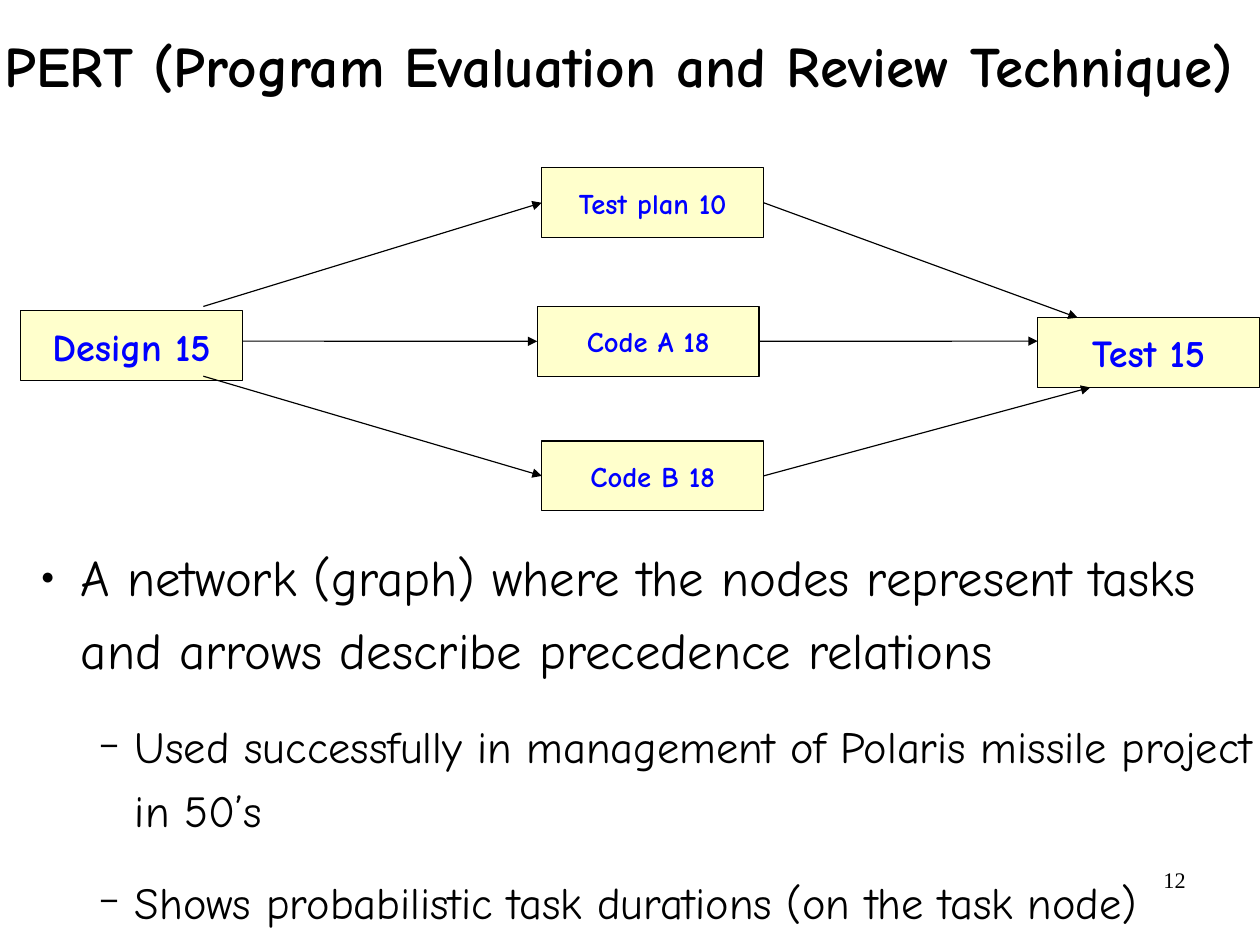
from lxml import etree
from pptx import Presentation
from pptx.dml.color import RGBColor
from pptx.enum.shapes import MSO_CONNECTOR, MSO_SHAPE
from pptx.enum.text import MSO_ANCHOR, PP_ALIGN
from pptx.oxml.ns import qn
from pptx.util import Cm, Pt

BLACK = RGBColor(0, 0, 0)
BLUE = RGBColor(0, 0, 255)
CREAM = RGBColor(255, 255, 204)
RECT = MSO_SHAPE.RECTANGLE
STRAIGHT = MSO_CONNECTOR.STRAIGHT
MIDDLE = MSO_ANCHOR.MIDDLE
CENTER, RIGHT = PP_ALIGN.CENTER, PP_ALIGN.RIGHT
FONT = "Comic Neue"
LEFT_SIDE, RIGHT_SIDE = 1, 3


def set_font(p, size, color=BLACK, name=FONT, bold=False):
    p.font.size, p.font.name, p.font.bold = Pt(size), name, bold
    p.font.color.rgb = color


def clear_insets(tf):
    tf.margin_left = tf.margin_right = tf.margin_top = tf.margin_bottom = 0


prs = Presentation()
prs.slide_width, prs.slide_height = Cm(28), Cm(21)
s = prs.slides.add_slide(prs.slide_layouts[5])

# Title
title = s.shapes.title
title.left, title.top, title.width, title.height = 0, 0, Cm(27.5), Cm(3.05)
tf = title.text_frame
clear_insets(tf)
tf.word_wrap = False
tf.vertical_anchor = MIDDLE
tf.text = "PERT (Program Evaluation and Review Technique)"
p = tf.paragraphs[0]
p.alignment = CENTER
p.line_spacing = 0.92
set_font(p, 36, bold=True)

# Task nodes: label, left, top, text size
TASKS = [
    ("Design 15", 0.46, 6.91, 24),
    ("Test plan 10", 12.04, 3.73, 18),
    ("Code A 18", 11.94, 6.81, 18),
    ("Code B 18", 12.04, 9.8, 18),
    ("Test 15", 23.06, 7.06, 24),
]
nodes = {}
for label, left, top, size in TASKS:
    sp = s.shapes.add_shape(RECT, Cm(left), Cm(top), Cm(4.93), Cm(1.55))
    sp.shadow.inherit = False
    sp.fill.solid()
    sp.fill.fore_color.rgb = CREAM
    sp.line.color.rgb = BLACK
    sp.line.width = Pt(0.75)
    tf = sp.text_frame
    clear_insets(tf)
    tf.vertical_anchor = MIDDLE
    tf.text = label
    p = tf.paragraphs[0]
    p.alignment = CENTER
    set_font(p, size, BLUE, bold=True)
    nodes[label] = sp

# Precedence arrows through each middle task: start at Design, end at Test
PATHS = [
    ("Test plan 10", (4.52, 6.81), (23.95, 7.06)),
    ("Code A 18", (5.39, 7.58), (23.06, 7.58)),
    ("Code B 18", (4.52, 8.36), (24.23, 8.61)),
]
for label, start, end in PATHS:
    node = nodes[label]
    x1, y1, x2, y2 = [Cm(v) for v in start + end]
    arrow_in = s.shapes.add_connector(STRAIGHT, x1, y1, x1, y1)
    arrow_in.end_connect(node, LEFT_SIDE)
    arrow_out = s.shapes.add_connector(STRAIGHT, x2, y2, x2, y2)
    arrow_out.begin_connect(node, RIGHT_SIDE)
    for arrow in (arrow_in, arrow_out):
        arrow.line.color.rgb = BLACK
        arrow.line.width = Pt(0.75)
        ln = arrow.line._get_or_add_ln()
        etree.SubElement(ln, qn("a:tailEnd"), type="triangle", w="med", len="med")
        etree.SubElement(arrow._element.spPr, qn("a:effectLst"))

# Bulleted text: level, text
POINTS = [
    (0, "A network (graph) where the nodes represent tasks and arrows describe precedence relations"),
    (1, "Used successfully in management of Polaris missile project in 50’s"),
    (1, "Shows probabilistic task durations (on the task node)"),
]
# Per level: text size, space after, left margin, indent, bullet, bullet size
LEVELS = [(32, 6, 1.19, -0.89, "●", 45), (28, 5.2, 2.39, -0.79, "−", 75)]
tf = s.shapes.add_textbox(Cm(0.61), Cm(11.86), Cm(27.38), Cm(9.14)).text_frame
tf.word_wrap = True
clear_insets(tf)
for i, (level, text) in enumerate(POINTS):
    size, after, margin, indent, bullet, percent = LEVELS[level]
    p = tf.add_paragraph() if i else tf.paragraphs[0]
    p.text = text
    p.level = level
    p.line_spacing = 1.2
    p.space_before, p.space_after = Pt(12), Pt(after)
    set_font(p, size)
    pPr = p._p.get_or_add_pPr()
    pPr.set("marL", str(Cm(margin)))
    pPr.set("indent", str(Cm(indent)))
    # Bullet elements come before the run defaults
    rPr = pPr.find(qn("a:defRPr"))
    for tag, key, value in (
        ("a:buSzPct", "val", str(percent * 1000)),
        ("a:buFont", "typeface", "Arial"),
        ("a:buChar", "char", bullet),
    ):
        rPr.addprevious(etree.Element(qn(tag), {key: value}))

# Slide number
tf = s.shapes.add_textbox(Cm(20.07), Cm(19.13), Cm(6.53), Cm(1.45)).text_frame
tf.word_wrap = True
tf.text = "12"
p = tf.paragraphs[0]
p.alignment = RIGHT
set_font(p, 14, name="Times New Roman")

prs.save("out.pptx")
